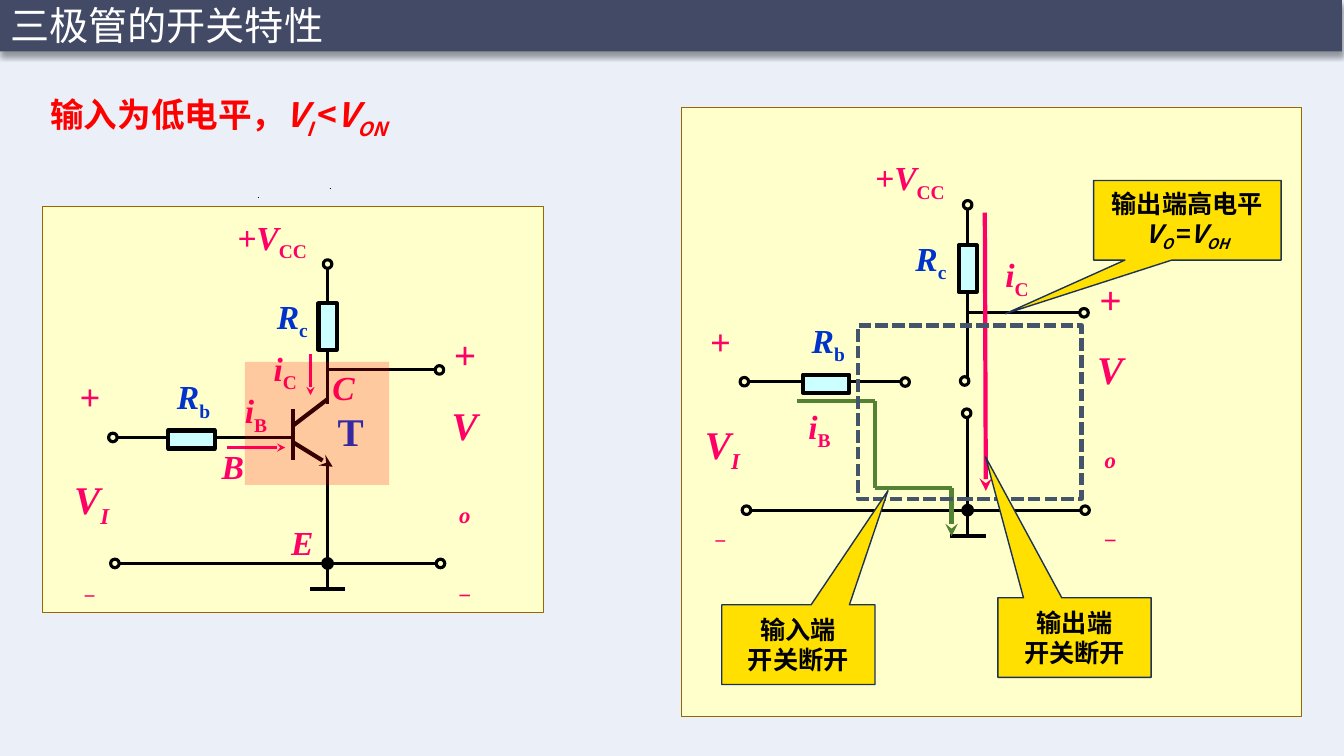
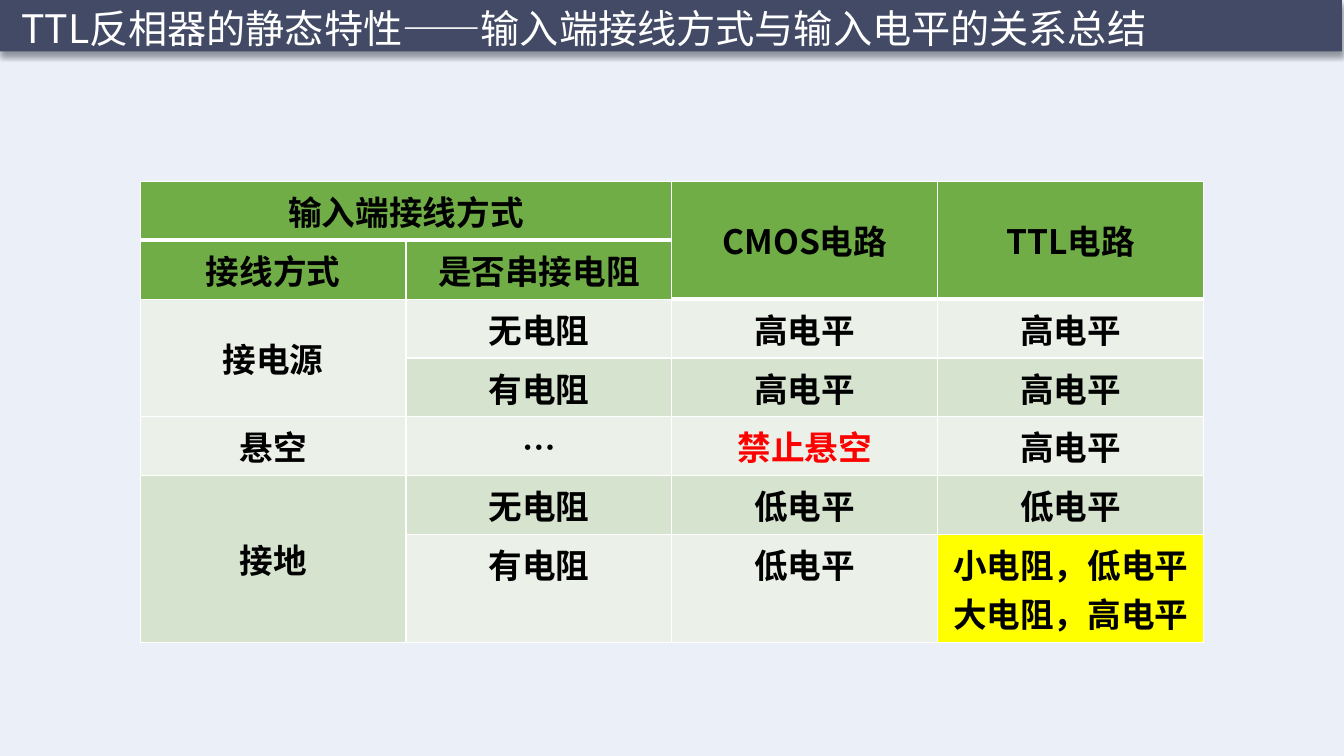
from dataclasses import dataclass
from itertools import pairwise, product

from lxml.etree import SubElement
from pptx import Presentation
from pptx.dml.color import RGBColor
from pptx.enum.dml import MSO_LINE
from pptx.enum.shapes import MSO_CONNECTOR, MSO_SHAPE
from pptx.enum.text import MSO_ANCHOR, MSO_AUTO_SIZE, PP_ALIGN
from pptx.oxml.ns import qn
from pptx.util import Inches, Pt

WHITE = RGBColor(0xFF, 0xFF, 0xFF)
BLACK = RGBColor(0x00, 0x00, 0x00)
RED = RGBColor(0xFF, 0x00, 0x00)
PINK = RGBColor(0xFF, 0x00, 0x66)
BLUE = RGBColor(0x00, 0x33, 0xCC)
NAVY = RGBColor(0x42, 0x46, 0x5B)
TINT = RGBColor(0x44, 0x72, 0xC4)
CREAM = RGBColor(0xFF, 0xFF, 0xCC)
BROWN = RGBColor(0x99, 0x66, 0x00)
CYAN = RGBColor(0xCC, 0xFF, 0xFF)
SLATE = RGBColor(0x44, 0x54, 0x6A)
MOSS = RGBColor(0x54, 0x82, 0x35)
GOLD = RGBColor(0xFF, 0xE0, 0x00)
INK = RGBColor(0x1E, 0x32, 0x56)
GREEN = RGBColor(0x70, 0xAD, 0x47)
PALE = RGBColor(0xEB, 0xF1, 0xE9)
SAGE = RGBColor(0xD5, 0xE3, 0xCF)
YELLOW = RGBColor(0xFF, 0xFF, 0x00)

SANS = "Noto Sans CJK SC"
SERIF = "Times New Roman"
CELL = Inches(0.1)
COLUMNS, ROWS = 133.33, 75

TABLE_ROWS = [
    ["输入端接线方式", "", "CMOS电路", "TTL电路"],
    ["接线方式", "是否串接电阻", "", ""],
    ["接电源", "无电阻", "高电平", "高电平"],
    ["", "有电阻", "高电平", "高电平"],
    ["悬空", "…", "禁止悬空", "高电平"],
    ["接地", "无电阻", "低电平", "低电平"],
    ["", "有电阻", "低电平", "小电阻，低电平\n大电阻，高电平"],
]
MERGES = [(0, 0, 0, 1), (0, 2, 1, 2), (0, 3, 1, 3), (2, 0, 3, 0), (5, 0, 6, 0)]


def cells(*counts):
    return [round(count * CELL) for count in counts]


def write(frame, lines, size, color, font=SANS, bold=True,
          align=PP_ALIGN.CENTER, spacing=None, gap=0):
    for index, line in enumerate(lines):
        para = frame.add_paragraph() if index else frame.paragraphs[0]
        para.alignment = align
        if spacing:
            para.line_spacing = spacing
        if index and gap:
            para.space_before = Pt(gap)
        para.font.size = Pt(size)
        para.font.bold = bold
        para.font.color.rgb = color
        para.font.name = font
        defaults = para._p.get_or_add_pPr().get_or_add_defRPr()
        SubElement(defaults, qn("a:ea"), typeface=font)
        for text, style in [(line, "")] if isinstance(line, str) else line:
            span = para.add_run()
            span.text = text
            if "i" in style:
                span.font.italic = True
            if "s" in style:
                span._r.get_or_add_rPr().set("baseline", "-25000")


def block(page, at, fill=None, line=None, width=0.75, kind=MSO_SHAPE.RECTANGLE, alpha=None):
    shape = page.shapes.add_shape(kind, *cells(*at))
    shape.shadow.inherit = False
    if fill is None:
        shape.fill.background()
    else:
        shape.fill.solid()
        shape.fill.fore_color.rgb = fill
    if alpha:
        shade = shape._element.spPr.find(qn("a:solidFill"))[0]
        SubElement(shade, qn("a:alpha"), val=str(alpha * 1000))
    if line is None:
        shape.line.fill.background()
    else:
        shape.line.color.rgb = line
        shape.line.width = Pt(width)
    return shape


def textbox(page, at, lines, size, color, wrap=False, **style):
    frame = page.shapes.add_textbox(*cells(*at)).text_frame
    frame.word_wrap = wrap
    frame.vertical_anchor = MSO_ANCHOR.MIDDLE
    write(frame, lines, size, color, **style)


def callout(page, at, tip, lines):
    shape = block(page, at, GOLD, INK, 1, MSO_SHAPE.RECTANGULAR_CALLOUT)
    shape.adjustments[0], shape.adjustments[1] = tip
    shape.text_frame.vertical_anchor = MSO_ANCHOR.MIDDLE
    write(shape.text_frame, lines, 18, BLACK)


@dataclass
class Stage:
    page: object
    left: float = 0
    top: float = 0
    across: float = 1
    down: float = 1

    def point(self, x, y):
        return self.left + self.across * x, self.top + self.down * y

    def around(self, x, y, width, height):
        x, y = self.point(x, y)
        return x - width / 2, y - height / 2, width, height

    def wire(self, x1, y1, x2, y2, color=BLACK, width=2.25, arrow=False):
        ends = cells(*self.point(x1, y1), *self.point(x2, y2))
        wire = self.page.shapes.add_connector(MSO_CONNECTOR.STRAIGHT, *ends)
        wire.line.color.rgb = color
        wire.line.width = Pt(width)
        properties = wire._element.spPr
        if arrow:
            SubElement(properties.find(qn("a:ln")), qn("a:tailEnd"), type="stealth")
        SubElement(properties, qn("a:effectLst"))

    def ring(self, x, y, fill=None, width=2.25):
        block(self.page, self.around(x, y, 0.85, 0.85), fill, BLACK, width, MSO_SHAPE.OVAL)

    def resistor(self, x, y, width, height):
        block(self.page, self.around(x, y, width, height), CYAN, BLACK, 3)

    def label(self, x, y, lines, size=24, color=PINK, width=10, height=6, **style):
        at = self.around(x, y, width, height)
        textbox(self.page, at, lines, size, color, font=SERIF, **style)


def symbol(name, index, style="s"):
    return [[(name, "i"), (index, style)]]


def circuit(stage, base_end, collector_end, emitter_start):
    stage.wire(30.8, 58.4, 34.2, 58.4, width=3)
    stage.wire(32.5, 26.7, 32.5, collector_end)
    stage.wire(32.5, emitter_start, 32.5, 58.4)
    stage.wire(11.7, 55.9, 43.3, 55.9)
    stage.wire(32.5, 36.7, 43.3, 36.7)
    stage.wire(11.7, 43.4, base_end, 43.4)
    stage.resistor(32.5, 32.4, 1.8, 4.6)
    stage.resistor(19, 43.6, 4.6, 1.8)
    for x, y in [(32.5, 26.2), (11.2, 43.4), (11.4, 55.9), (43.6, 36.7), (43.7, 55.9)]:
        stage.ring(x, y)
    stage.ring(32.5, 55.9, BLACK, 3)
    stage.label(27, 23.8, symbol("+V", "CC"))
    stage.label(29, 31.6, symbol("R", "c"), color=BLUE)
    stage.label(19.2, 39.6, symbol("R", "b"), color=BLUE)
    stage.label(9.1, 49.8, symbol("V", "I", "is"), 28)
    stage.label(8.9, 48.7, [[("+", "i")], [("−", "s")]], 26, height=24, gap=100)
    output = [[("+", "i")], [("V", "i"), ("o", "is")], [("−", "s")]]
    stage.label(46.1, 45.4, output, 28, width=5.5, height=26, wrap=True, spacing=1.5)


def transistor(stage):
    stage.wire(29.1, 40.6, 29.1, 45.6, width=3)
    stage.wire(29.1, 42.2, 32.5, 39.6, width=3)
    stage.wire(29.1, 43.9, 33, 46.3, width=3, arrow=True)
    stage.wire(22.5, 44.4, 28.3, 44.4, PINK, 2, True)
    stage.wire(30.8, 35.1, 30.8, 39.2, PINK, 2, True)
    stage.label(25.4, 41, symbol("i", "B"))
    stage.label(28.3, 36.8, symbol("i", "C"))
    stage.label(34.8, 42.7, ["T"], 28, BLUE)
    for x, y, name in [(23.1, 46.2, "B"), (30, 53.8, "E"), (34.1, 38.4, "C")]:
        stage.label(x, y, [[(name, "i")]])
    block(stage.page, (24.3, 35.9, 14.3, 12.2), RED, alpha=21)


def open_switch(stage):
    page = stage.page
    route = [(79.1, 39.8), (86.8, 39.8), (86.8, 48.4), (94.4, 48.4), (94.4, 53.2)]
    for start, end in pairwise(route):
        stage.wire(*start, *end, MOSS, 3, end == route[-1])
    stage.wire(97.7, 21.1, 97.8, 48.7, PINK, 3, True)
    stage.label(81.3, 42.5, symbol("i", "B"))
    stage.label(100.9, 27.5, symbol("i", "C"))
    dashed = block(page, (85.1, 32.3, 22.2, 17.2), line=SLATE, width=3)
    dashed.line.dash_style = MSO_LINE.SQUARE_DOT
    callout(page, (71.6, 60, 15.2, 7.9), (0.585, -1.933), ["输入端", "开关断开"])
    callout(page, (99, 59.3, 15.2, 7.9), (-0.581, -2.268), ["输出端", "开关断开"])
    high = [("V", "i"), ("O ", "is"), ("=", ""), ("V", "i"), ("OH", "is")]
    callout(page, (108.5, 17.9, 18.6, 7.9), (-0.97, 1.173), ["输出端高电平", high])
    for x, y in [(89.8, 37.9), (95.7, 37.8), (95.9, 41)]:
        stage.ring(x, y)


def border(cell, sides):
    properties = cell._tc.get_or_add_tcPr()
    for side, width in sides.items():
        line = SubElement(properties, qn(f"a:ln{side}"), w=str(Pt(width)))
        fill = SubElement(line, qn("a:solidFill"))
        SubElement(fill, qn("a:srgbClr"), val=str(WHITE))


def level_table(page):
    height = 5.8 * 6 + 10.7
    table = page.shapes.add_table(7, 4, *cells(13.9, 18, 105.5, height)).table
    for index, row in enumerate(table.rows):
        row.height = cells(10.7 if index == 6 else 5.8)[0]
    for top, left, bottom, right in MERGES:
        table.cell(top, left).merge(table.cell(bottom, right))
    for row, column in product(range(7), range(4)):
        cell, text = table.cell(row, column), TABLE_ROWS[row][column]
        heavy = row == 0 or (row == 1 and column > 1)
        sides = {"L": 1, "R": 1, "T": 1, "B": 3 if heavy else 1}
        if row:
            del sides["T"]
        border(cell, sides)
        cell.fill.solid()
        band = GREEN if row < 2 else (PALE, SAGE)[row % 2]
        cell.fill.fore_color.rgb = YELLOW if "\n" in text else band
        if cell.is_merge_origin and cell.span_height > 1:
            cell.vertical_anchor = MSO_ANCHOR.MIDDLE
        if text:
            write(cell.text_frame, text.split("\n"), 24, RED if text == "禁止悬空" else BLACK)


def dress_master(deck, page):
    band = block(page, (0, 0, COLUMNS - 0.2, 5.1), NAVY)
    effects = band._element.spPr.find(qn("a:effectLst"))
    shadow = SubElement(effects, qn("a:outerShdw"), blurRad=str(Pt(4)),
                        dist=str(Pt(3)), dir="5400000", rotWithShape="0")
    color = SubElement(shadow, qn("a:srgbClr"), val=str(BLACK))
    SubElement(color, qn("a:alpha"), val="40000")
    tint = block(page, (0, 0, COLUMNS, ROWS), TINT, alpha=10)
    tree = deck.slide_master.shapes.element
    for index, shape in enumerate([band, tint]):
        shape._element.nvSpPr.cNvPr.set("id", str(100 + index))
        tree.insert(2 + index, shape._element)


def add_page(deck, text, left, top, width):
    page = deck.slides.add_slide(deck.slide_layouts[5])
    title = page.shapes.title
    title.left, title.top, title.width, title.height = cells(left, top, width, 5.6)
    frame = title.text_frame
    frame.auto_size = MSO_AUTO_SIZE.NONE
    frame.vertical_anchor = MSO_ANCHOR.MIDDLE
    frame.margin_top = frame.margin_bottom = 0
    write(frame, [text], 28, WHITE, bold=False, align=PP_ALIGN.LEFT, spacing=0.9)
    return page


def switch_page(page):
    whole = Stage(page)
    heading = [("输入为低电平，", ""), ("V", "i"), ("I ", "is"), ("<", ""), ("V", "i"), ("ON", "is")]
    textbox(page, (4, 6.3, 68.4, 8.4), [heading], 24, RED, wrap=True,
            align=PP_ALIGN.JUSTIFY, spacing=1.5)
    for x, y in [(25.6, 19.6), (32.7, 18.7)]:
        whole.wire(x, y, x + 0.1, y, width=0.75)
    block(page, (4.2, 20.5, 49.7, 40.3), CREAM, BROWN)
    circuit(whole, 29.2, 40.1, 46)
    transistor(whole)
    block(page, (67.6, 10.7, 61.5, 60.4), CREAM, BROWN)
    circuit(Stage(page, 62.2, -6.4, 1.04, 1.02), 26.2, 42.9, 46.8)
    open_switch(whole)


def main():
    deck = Presentation()
    deck.slide_width, deck.slide_height = cells(COLUMNS, ROWS)
    page = add_page(deck, "三极管的开关特性", 0, 0, 72.4)
    dress_master(deck, page)
    switch_page(page)
    title = "TTL反相器的静态特性——输入端接线方式与输入电平的关系总结"
    level_table(add_page(deck, title, 1.1, 0.3, 119.8))
    deck.save("out.pptx")


if __name__ == "__main__":
    main()
